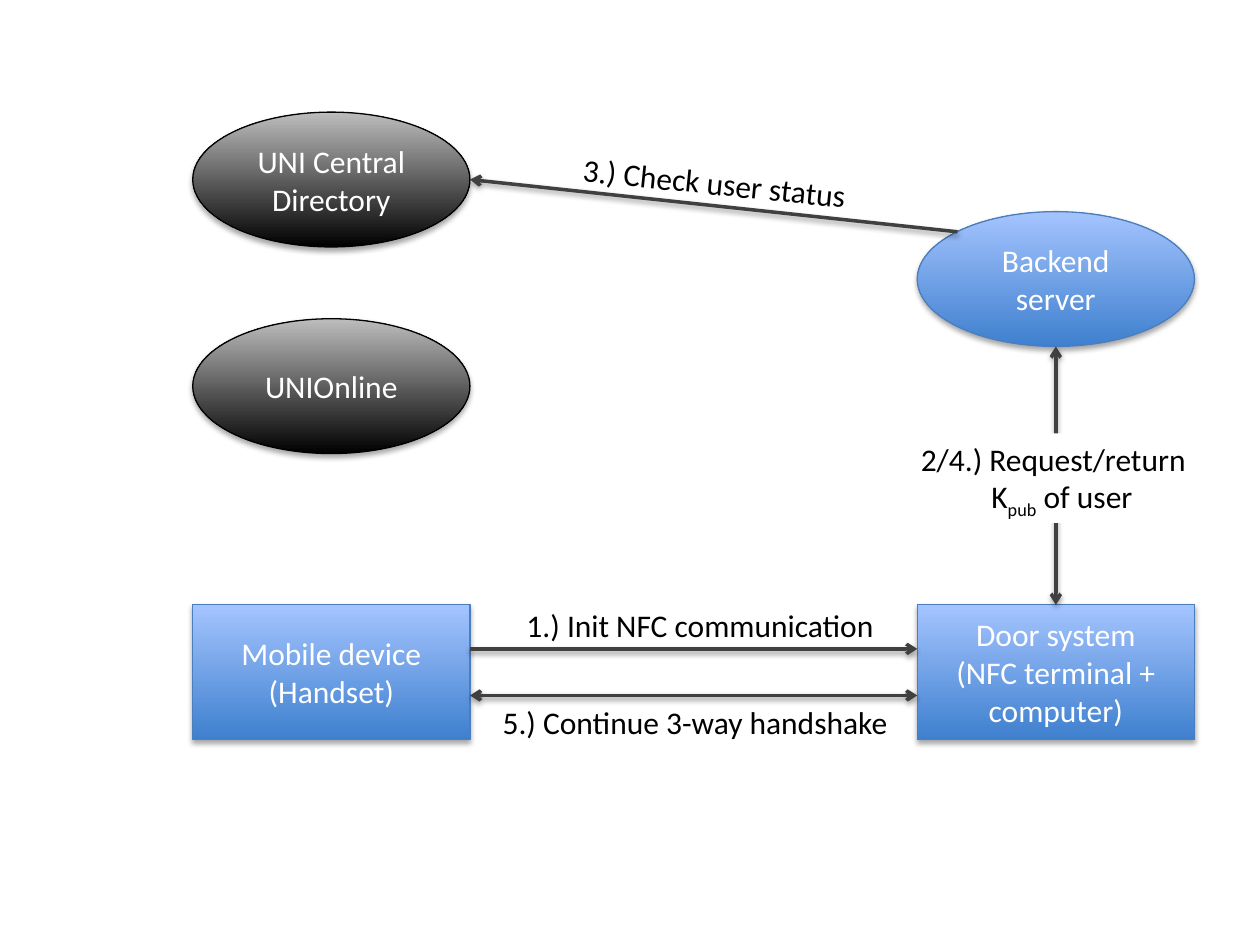
from lxml import etree
from pptx import Presentation
from pptx.dml.color import RGBColor
from pptx.enum.shapes import MSO_CONNECTOR, MSO_SHAPE
from pptx.enum.text import MSO_ANCHOR, MSO_AUTO_SIZE, PP_ALIGN
from pptx.oxml.ns import qn
from pptx.util import Inches, Pt

RECT, OVAL = MSO_SHAPE.RECTANGLE, MSO_SHAPE.OVAL
STRAIGHT = MSO_CONNECTOR.STRAIGHT
LEFT, CENTER = PP_ALIGN.LEFT, PP_ALIGN.CENTER
TOP, MIDDLE = MSO_ANCHOR.TOP, MSO_ANCHOR.MIDDLE
FIT = MSO_AUTO_SIZE.SHAPE_TO_FIT_TEXT

BLUE = ("3F80CE", "A4C4FF", "4B7EBC")
BLACK = ("000000", "BDBDBD", "000000")
NODE_W, NODE_H = 2.2, 1.07
COLS = (1.53, 7.28)
ROWS = {"directory": 0.89, "backend": 1.68, "online": 2.53, "devices": 4.8}


def rgb(value):
    return RGBColor.from_string(value)


def add_shadow(shape, alpha, distance):
    spPr = shape._element.spPr
    for old in spPr.findall(qn("a:effectLst")):
        spPr.remove(old)
    effects = etree.SubElement(spPr, qn("a:effectLst"))
    shadow = etree.SubElement(effects, qn("a:outerShdw"), blurRad=str(Pt(3.1)),
                              dist=str(Pt(distance)), dir="5400000", rotWithShape="0")
    color = etree.SubElement(shadow, qn("a:srgbClr"), val="000000")
    etree.SubElement(color, qn("a:alpha"), val=str(alpha * 1000))


def add_run(p, text, color, baseline=0):
    r = p.add_run()
    r.text = text
    r.font.name = "Calibri"
    r.font.size = Pt(18)
    r.font.color.rgb = rgb(color)
    if baseline:
        r._r.get_or_add_rPr().set("baseline", str(baseline * 1000))


def write(tf, lines, color, align):
    for i, runs in enumerate(lines):
        p = tf.paragraphs[0] if i == 0 else tf.add_paragraph()
        p.alignment = align
        for run in runs:
            add_run(p, run[0], color, *run[1:])


def add_node(s, kind, col, row, lines, theme):
    dark, light, edge = theme
    sp = s.shapes.add_shape(kind, Inches(COLS[col]), Inches(ROWS[row]),
                            Inches(NODE_W), Inches(NODE_H))
    sp.fill.gradient()
    sp.fill.gradient_angle = 90
    for stop, color in zip(sp.fill.gradient_stops, (dark, light)):
        stop.color.rgb = rgb(color)
    sp.line.color.rgb = rgb(edge)
    sp.line.width = Pt(0.75)
    add_shadow(sp, 35, 1.8)
    tf = sp.text_frame
    tf.word_wrap = True
    tf.vertical_anchor = MIDDLE
    write(tf, [[(line,)] for line in lines], "FFFFFF", CENTER)


def add_arrow(s, start, end, both=False):
    line = s.shapes.add_connector(STRAIGHT, *(Inches(v) for v in start + end))
    line.line.color.rgb = rgb("404040")
    line.line.width = Pt(2)
    ln = line.line._get_or_add_ln()
    for tag in ("a:headEnd", "a:tailEnd") if both else ("a:tailEnd",):
        etree.SubElement(ln, qn(tag), type="arrow")
    add_shadow(line, 38, 1.6)


def add_label(s, box, lines, align=LEFT, rotation=0, fill=None):
    sp = s.shapes.add_textbox(*(Inches(v) for v in box))
    sp.rotation = rotation
    if fill:
        sp.fill.solid()
        sp.fill.fore_color.rgb = rgb(fill)
    tf = sp.text_frame
    tf.word_wrap = False
    tf.auto_size = FIT
    tf.vertical_anchor = TOP
    write(tf, lines, "000000", align)
    return tf


def main():
    prs = Presentation()
    prs.slide_width, prs.slide_height = Inches(10), Inches(7.5)
    s = prs.slides.add_slide(prs.slide_layouts[6])

    add_node(s, RECT, 0, "devices", ["Mobile device", "(Handset)"], BLUE)
    add_node(s, RECT, 1, "devices", ["Door system", "(NFC terminal + computer)"], BLUE)
    add_node(s, OVAL, 0, "online", ["UNIOnline"], BLACK)
    add_node(s, OVAL, 1, "backend", ["Backend server"], BLUE)
    add_node(s, OVAL, 0, "directory", ["UNI Central Directory"], BLACK)

    left_edge, right_edge = COLS[0] + NODE_W, COLS[1]
    door_x = COLS[1] + NODE_W / 2

    add_arrow(s, (7.6, 1.84), (left_edge, ROWS["directory"] + NODE_H / 2))
    add_label(s, (4.51, 1.25, 2.32, 0.4), [[("3.) Check user status",)]], CENTER, 5.9)

    add_arrow(s, (door_x, ROWS["backend"] + NODE_H), (door_x, ROWS["devices"]), both=True)
    tf = add_label(s, (7.21, 3.44, 2.34, 0.71),
                   [[("2/4.) Request/return",)], [("K",), ("pub", -25), (" of user",)]],
                   fill="FFFFFF")
    tf.paragraphs[1]._p.get_or_add_pPr().set("marL", str(Inches(0.56)))

    add_arrow(s, (left_edge, 5.15), (right_edge, 5.15))
    add_label(s, (4.08, 4.76, 2.99, 0.4), [[("1.) Init NFC communication",)]])
    add_arrow(s, (left_edge, 5.52), (right_edge, 5.52), both=True)
    add_label(s, (3.89, 5.53, 3.31, 0.4), [[("5.) Continue 3-way handshake",)]])

    prs.save("out.pptx")


main()
